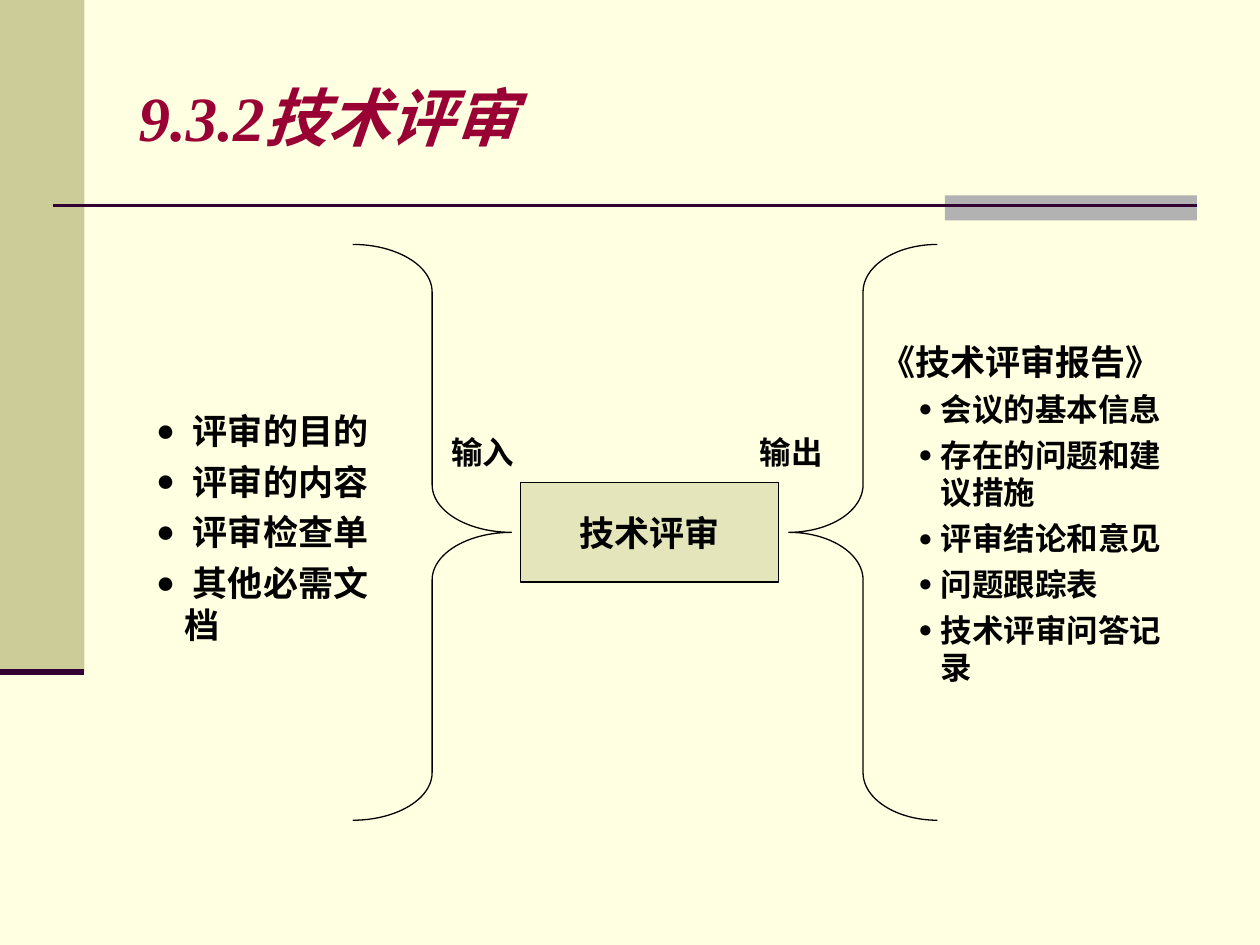
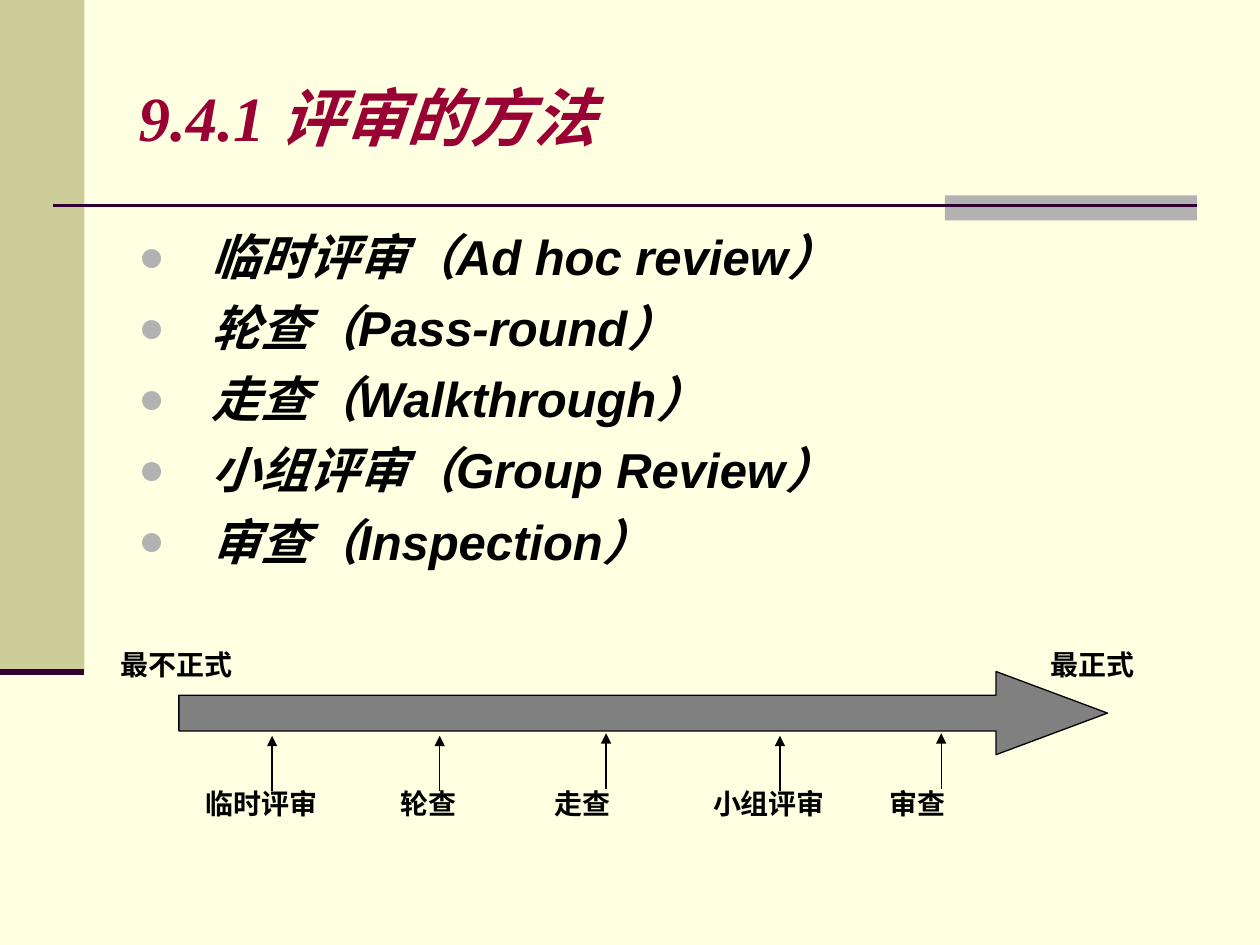
"""Build two slides on technical reviews and review methods."""
from lxml.etree import SubElement
from pptx import Presentation
from pptx.dml.color import RGBColor
from pptx.enum.shapes import MSO_CONNECTOR, MSO_SHAPE
from pptx.enum.text import MSO_ANCHOR, MSO_AUTO_SIZE, PP_ALIGN
from pptx.oxml.ns import qn
from pptx.util import Inches, Pt

CREAM = RGBColor(0xFF, 0xFF, 0xE1)
KHAKI = RGBColor(0xCC, 0xCC, 0x99)
SILVER = RGBColor(0xB2, 0xB2, 0xB2)
GRAY = RGBColor(0x80, 0x80, 0x80)
PLUM = RGBColor(0x33, 0x00, 0x33)
CRIMSON = RGBColor(0x99, 0x00, 0x33)
BLACK = RGBColor(0x00, 0x00, 0x00)

TITLE_FONT = {"name": "Times New Roman", "size": Pt(36), "bold": True, "italic": True}
TEXT_FONT = {"name": "Arial", "bold": True}
WIDE_INSETS = (0.1, 0.05)
SMALL_INSETS = (0.06, 0.03)
NO_INSETS = (0, 0)


class Deck:
    def __init__(self):
        self.presentation = Presentation()
        self.presentation.slide_width = Inches(10)
        self.presentation.slide_height = Inches(7.5)
        self.slide = None

    def add_slide(self, title):
        self.slide = self.presentation.slides.add_slide(self.presentation.slide_layouts[5])
        background = self.slide.background.fill
        background.solid()
        background.fore_color.rgb = CREAM
        self.shape(MSO_SHAPE.RECTANGLE, (0, 0, 0.67, 5.33), KHAKI)
        self.shape(MSO_SHAPE.RECTANGLE, (7.5, 1.55, 2, 0.2), SILVER)
        self.line((0.42, 1.63), (9.5, 1.63), PLUM, 1.5)
        self.line((0, 5.33), (0.67, 5.33), PLUM, 3.5)
        placeholder = self.slide.shapes.title
        box = dict(zip(("left", "top", "width", "height"), map(Inches, (1, 0.3, 8.5, 1.25))))
        for name, value in box.items():
            setattr(placeholder, name, value)
        self.frame(placeholder, WIDE_INSETS, anchor=MSO_ANCHOR.MIDDLE)
        self.fill_paragraph(placeholder.text_frame.paragraphs[0], title, TITLE_FONT, CRIMSON)

    def frame(self, shape, insets, wrap=True, anchor=MSO_ANCHOR.TOP):
        side, end = map(Inches, insets)
        settings = {
            "margin_left": side, "margin_right": side, "margin_top": end, "margin_bottom": end,
            "word_wrap": wrap, "vertical_anchor": anchor, "auto_size": MSO_AUTO_SIZE.NONE,
        }
        for name, value in settings.items():
            setattr(shape.text_frame, name, value)

    def fill_paragraph(self, paragraph, text, font, color=BLACK, align=PP_ALIGN.LEFT):
        paragraph.alignment = align
        run = paragraph.add_run()
        run.text = text
        for name, value in font.items():
            setattr(run.font, name, value)
        run.font.color.rgb = color

    def shape(self, kind, box, fill=None, line=None, adjustments=(), opacity=None):
        shape = self.slide.shapes.add_shape(kind, *map(Inches, box))
        shape.shadow.inherit = False
        for index, value in enumerate(adjustments):
            shape.adjustments[index] = value
        if fill is None:
            shape.fill.background()
        else:
            shape.fill.solid()
            shape.fill.fore_color.rgb = fill
        if opacity is not None:
            color = shape._element.spPr.find(qn("a:solidFill"))[0]
            SubElement(color, qn("a:alpha"), val=str(opacity * 1000))
        if line is None:
            shape.line.fill.background()
        else:
            shape.line.color.rgb = line
            shape.line.width = Pt(0.75)
        return shape

    def line(self, start, end, color=BLACK, width=0.75, arrow=False):
        connector = self.slide.shapes.add_connector(
            MSO_CONNECTOR.STRAIGHT, *map(Inches, start + end))
        connector.line.color.rgb = color
        connector.line.width = Pt(width)
        properties = connector._element.spPr
        if arrow:
            SubElement(properties.find(qn("a:ln")), qn("a:tailEnd"), type="triangle")
        SubElement(properties, qn("a:effectLst"))

    def label(self, box, text, size, insets=SMALL_INSETS, wrap=True, align=PP_ALIGN.LEFT):
        textbox = self.slide.shapes.add_textbox(*map(Inches, box))
        self.frame(textbox, insets, wrap)
        font = TEXT_FONT | {"size": Pt(size)}
        self.fill_paragraph(textbox.text_frame.paragraphs[0], text, font, align=align)
        return textbox

    def bullets(self, box, items, size, space, indent, hanging,
                percent=90, color=BLACK, italic=False, heading=None):
        if heading:
            text_frame = self.label(box, heading, 20, WIDE_INSETS).text_frame
        else:
            textbox = self.slide.shapes.add_textbox(*map(Inches, box))
            self.frame(textbox, WIDE_INSETS)
            text_frame = textbox.text_frame
        font = TEXT_FONT | {"size": Pt(size), "italic": italic}
        for index, item in enumerate(items):
            first = index == 0 and not heading
            paragraph = text_frame.paragraphs[0] if first else text_frame.add_paragraph()
            properties = paragraph._p.get_or_add_pPr()
            properties.set("marL", str(Inches(indent)))
            properties.set("indent", str(-Inches(hanging)))
            SubElement(SubElement(properties, qn("a:buClr")), qn("a:srgbClr"), val=str(color))
            SubElement(properties, qn("a:buSzPct"), val=str(percent * 1000))
            SubElement(properties, qn("a:buFont"), typeface="Arial")
            SubElement(properties, qn("a:buChar"), char="●")
            if not first:
                paragraph.space_before = Pt(space)
            self.fill_paragraph(paragraph, item, font)


def add_technical_review(deck):
    deck.add_slide("9.3.2技术评审")
    inputs = (" 评审的目的", " 评审的内容", " 评审检查单", " 其他必需文档")
    deck.bullets((1.14, 3.2, 2.13, 2.2), inputs, 20, 5, 0.23, 0.23)
    deck.shape(MSO_SHAPE.RIGHT_BRACE, (2.8, 1.94, 1.26, 4.57), line=BLACK, adjustments=(0.3, 0.5))
    process = deck.shape(MSO_SHAPE.RECTANGLE, (4.13, 3.83, 2.05, 0.79), KHAKI, BLACK, opacity=50)
    deck.frame(process, NO_INSETS, False, MSO_ANCHOR.MIDDLE)
    deck.fill_paragraph(process.text_frame.paragraphs[0], "技术评审",
                        TEXT_FONT | {"size": Pt(20)}, align=PP_ALIGN.CENTER)
    deck.shape(MSO_SHAPE.LEFT_BRACE, (6.26, 1.94, 1.18, 4.57), line=BLACK, adjustments=(0.32, 0.5))
    outputs = ("会议的基本信息", "存在的问题和建议措施", "评审结论和意见",
               "问题跟踪表", "技术评审问答记录")
    deck.bullets((6.89, 2.65, 2.6, 4.02), outputs, 18, 4.5, 0.48, 0.18,
                 percent=75, heading="《技术评审报告》")
    for left, text in ((3.58, "输入"), (6.03, "输出")):
        deck.label((left, 3.44, 0.5, 0.3), text, 18, NO_INSETS, False, PP_ALIGN.RIGHT)


def add_review_methods(deck):
    deck.add_slide("9.4.1 评审的方法")
    methods = ("临时评审（Ad hoc review）", "轮查（Pass-round）", "走查（Walkthrough）",
               "小组评审（Group Review）", "审查（Inspection）")
    deck.bullets((1, 1.75, 8.5, 4.95), methods, 28, 7, 0.58, 0.58, color=SILVER, italic=True)
    deck.shape(MSO_SHAPE.RIGHT_ARROW, (1.42, 5.33, 7.37, 0.66), GRAY, BLACK, (0.43, 1.34))
    for left, width, text in ((0.9, 1.13, "最不正式"), (8.28, 0.9, "最正式")):
        deck.label((left, 5.11, width, 0.37), text, 16)
    steps = (
        (2.16, 5.84, 1.57, 1.13, "临时评审"),
        (3.49, 5.84, 3.12, 0.66, "轮查"),
        (4.81, 5.82, 4.34, 0.8, "走查"),
        (6.19, 5.84, 5.6, 1.13, "小组评审"),
        (7.47, 5.82, 7, 0.8, "审查"),
    )
    for x, tip, left, width, text in steps:
        deck.line((x, tip + 0.44), (x, tip), arrow=True)
        deck.label((left, 6.21, width, 0.37), text, 16)


def main():
    deck = Deck()
    add_technical_review(deck)
    add_review_methods(deck)
    deck.presentation.save("out.pptx")


if __name__ == "__main__":
    main()
